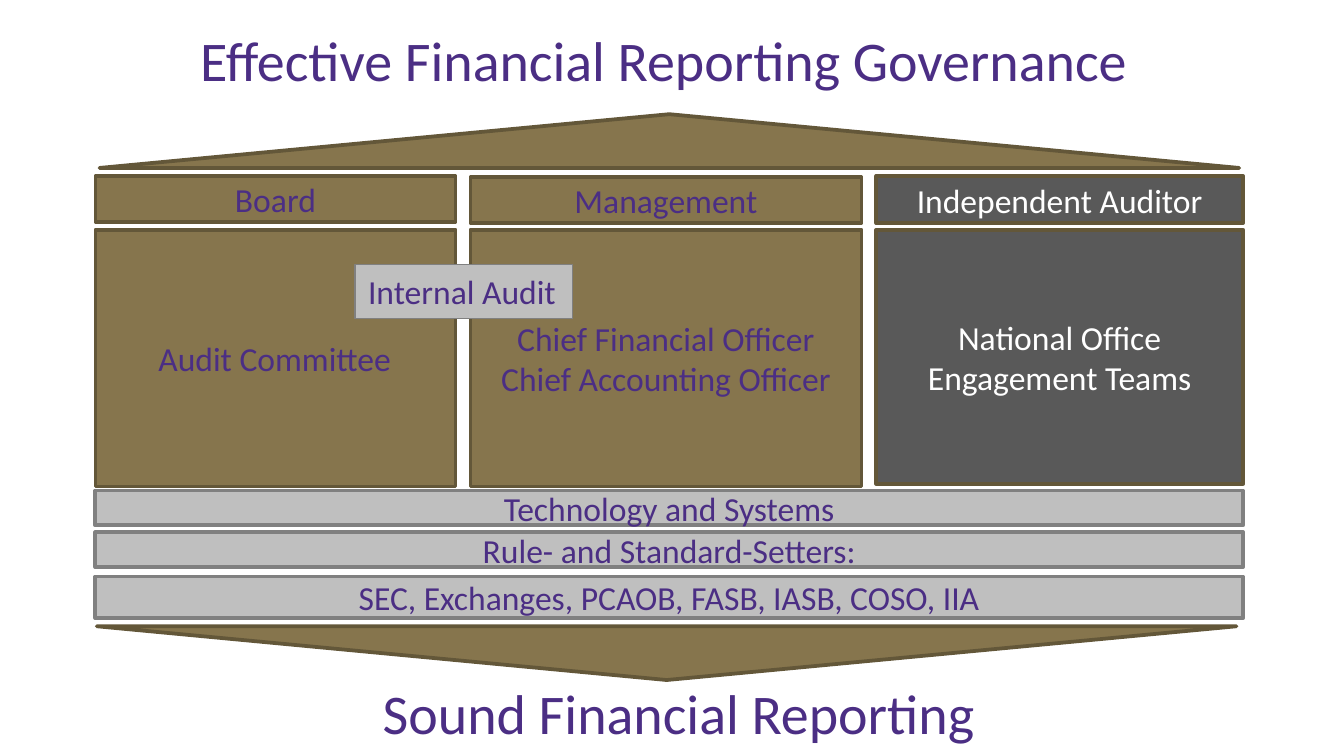
from pptx import Presentation
from pptx.dml.color import RGBColor
from pptx.enum.shapes import MSO_SHAPE
from pptx.enum.text import MSO_ANCHOR, MSO_AUTO_SIZE, PP_ALIGN
from pptx.util import Emu, Pt

PX = 9144  # EMU, 100 px to the inch
PURPLE, GOLD, BROWN = "4B2E84", "86754D", "635739"
DARK, LIGHT, GREY, WHITE = "595959", "BFBFBF", "808080", "FFFFFF"

LEFT, WIDE = 71, 854
# left, width, fill, text colour, heading (top, height), body height, lines
PILLARS = [
    (71, 268, GOLD, PURPLE, "Board", (131, 34), 191, ["Audit Committee"]),
    (350, 291, GOLD, PURPLE, "Management", (132, 34), 191,
     ["Chief Financial Officer", "Chief Accounting Officer"]),
    (652, 273, DARK, WHITE, "Independent Auditor", (131, 35), 189,
     ["National Office", "Engagement Teams"]),
]
BANDS = [
    (365, 26, "Technology and Systems"),
    (396, 26, "Rule- and Standard-Setters:"),
    (429, 31, "SEC, Exchanges, PCAOB, FASB, IASB, COSO, IIA"),
]


def px(*nums):
    return [Emu(num * PX) for num in nums]


def rgb(code):
    return RGBColor.from_string(code)


def write(shape, lines, color, size=18, align=PP_ALIGN.CENTER,
          anchor=MSO_ANCHOR.MIDDLE):
    frame = shape.text_frame
    frame.word_wrap = True
    frame.auto_size = MSO_AUTO_SIZE.NONE
    frame.vertical_anchor = anchor
    frame.text = "\n".join(lines)
    for para in frame.paragraphs:
        para.alignment = align
        para.font.name = "Calibri"
        para.font.size = Pt(size)
        para.font.color.rgb = rgb(color)
    return frame


def draw(slide, box, fill, line, weight=2, kind=MSO_SHAPE.RECTANGLE):
    shape = slide.shapes.add_shape(kind, *px(*box))
    shape.shadow.inherit = False
    shape.fill.solid()
    shape.fill.fore_color.rgb = rgb(fill)
    shape.line.color.rgb = rgb(line)
    shape.line.width = Pt(weight)
    return shape


def headline(shape, text):
    frame = write(shape, [text], PURPLE, 30, anchor=MSO_ANCHOR.TOP)
    frame.paragraphs[0].line_spacing = 0.9


def pillar(slide, left, width, fill, color, head, span, height, lines):
    """Draw a heading and its body; return the body's text frame."""
    body = draw(slide, (left, 171, width, height), fill, BROWN)
    top = draw(slide, (left, span[0], width, span[1]), fill, BROWN)
    write(top, [head], color)
    return write(body, lines, color)


def main():
    deck = Presentation()
    deck.slide_width, = px(1000)
    deck.slide_height = Emu(deck.slide_width * 9 // 16)
    slide = deck.slides.add_slide(deck.slide_layouts[5])

    title = slide.shapes.title
    title.left, title.top, title.width, title.height = px(63, 20, 862, 58)
    headline(title, "Effective Financial Reporting Governance")

    board, *_ = [pillar(slide, *row) for row in PILLARS]
    para = board.paragraphs[0]
    para.alignment = PP_ALIGN.LEFT
    para.level = 1
    props = para._p.get_or_add_pPr()
    props.set("marL", str(37 * PX))
    props.set("indent", "0")

    for top, height, text in BANDS:
        band = draw(slide, (LEFT, top, WIDE, height), LIGHT, GREY)
        write(band, [text], PURPLE)

    audit = draw(slide, (264, 197, 162, 40), LIGHT, GREY, 0.75)
    write(audit, ["Internal Audit"], PURPLE, align=PP_ALIGN.LEFT,
          anchor=MSO_ANCHOR.TOP).auto_size = MSO_AUTO_SIZE.SHAPE_TO_FIT_TEXT

    for left, top, turn in [(74, 85, 0), (72, 466, 180)]:
        roof = draw(slide, (left, top, 848, 40), GOLD, BROWN,
                    kind=MSO_SHAPE.ISOSCELES_TRIANGLE)
        roof.rotation = turn

    foot = slide.shapes.add_textbox(*px(74, 506, 862, 39))
    headline(foot, "Sound Financial Reporting")
    deck.save("out.pptx")


if __name__ == "__main__":
    main()
